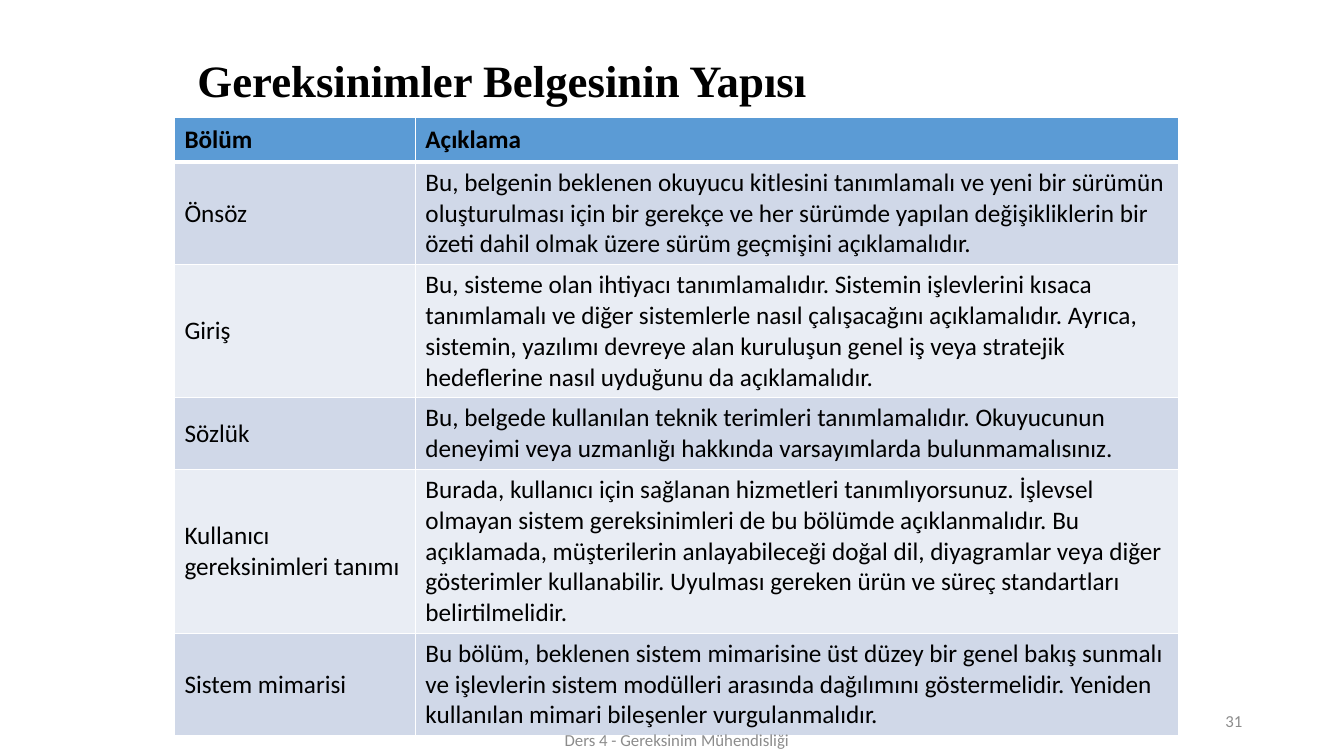
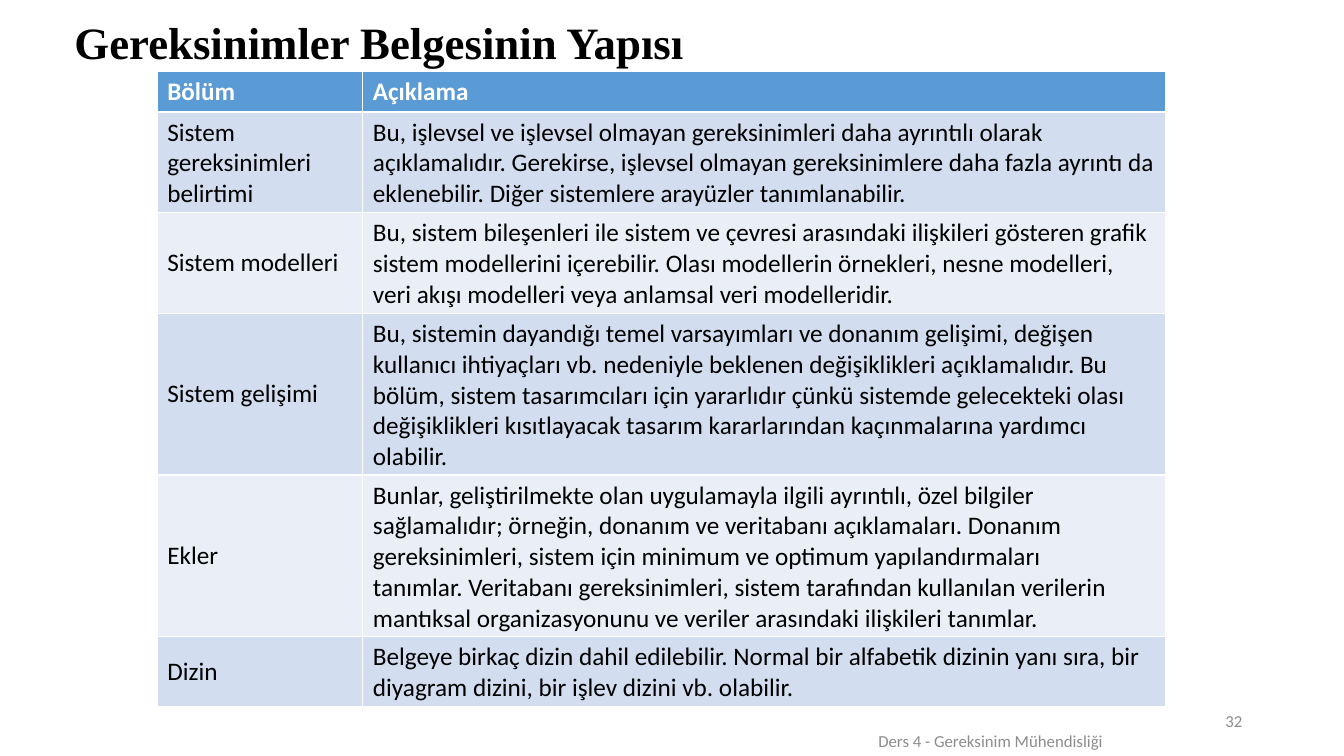
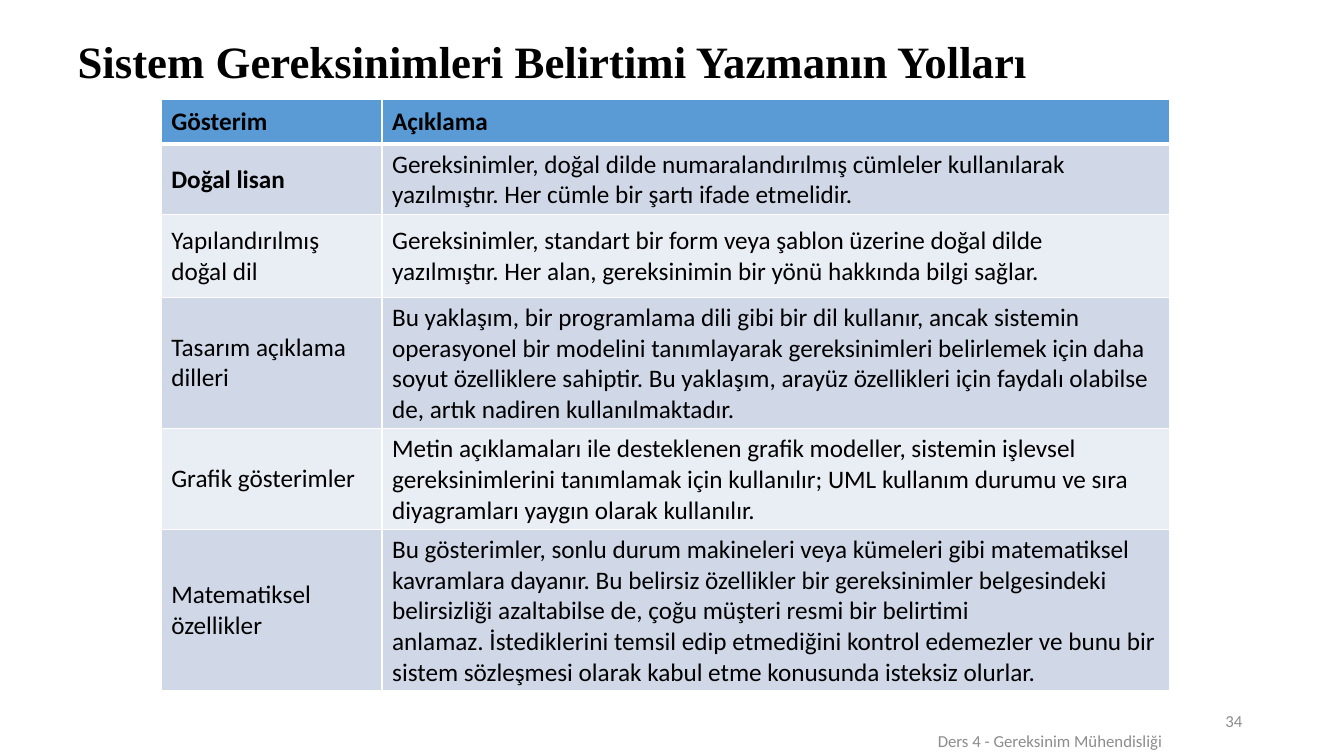
from lxml import etree
from pptx import Presentation, util as u
from pptx.dml.color import RGBColor
from pptx.enum import text as t
from pptx.oxml.ns import qn

WIDE, HIGH = u.Inches(13.33), u.Inches(7.5)
BLACK, WHITE, GREY, BLUE = "000000", "FFFFFF", "8C8C8C", "5B9BD5"
SOFT = ("D0D8E8", "E9EDF4")
CLEAR = ("D2DEEF", "EAEFF7")
FOOT = "Ders 4 - Gereksinim Mühendisliği"
LEFT, MID, RIGHT = t.PP_ALIGN.LEFT, t.PP_ALIGN.CENTER, t.PP_ALIGN.RIGHT

# Boxes, columns and rows are percentages of the slide's width and height.
slides = [
    dict(
        title="Gereksinimler Belgesinin Yapısı", box=(13.95, 3.07, 60.46, 15.87),
        at=(12.98, 15.47), cols=(17.93, 56.79),
        rows=(6, 10.93, 14.13, 7.73, 17.33, 10.93),
        ink=BLACK, bands=SOFT, rule=3, strong=(), page="31", foot=(38.48, 95.2),
        cells=[
            ("Bölüm", "Açıklama"),
            ("Önsöz", "Bu, belgenin beklenen okuyucu kitlesini tanımlamalı ve yeni bir sürümün "
             "oluşturulması için bir gerekçe ve her sürümde yapılan değişikliklerin bir özeti "
             "dahil olmak üzere sürüm geçmişini açıklamalıdır."),
            ("Giriş", "Bu, sisteme olan ihtiyacı tanımlamalıdır. Sistemin işlevlerini kısaca "
             "tanımlamalı ve diğer sistemlerle nasıl çalışacağını açıklamalıdır. Ayrıca, "
             "sistemin, yazılımı devreye alan kuruluşun genel iş veya stratejik hedeflerine "
             "nasıl uyduğunu da açıklamalıdır."),
            ("Sözlük", "Bu, belgede kullanılan teknik terimleri tanımlamalıdır. Okuyucunun "
             "deneyimi veya uzmanlığı hakkında varsayımlarda bulunmamalısınız."),
            ("Kullanıcı gereksinimleri tanımı",
             "Burada, kullanıcı için sağlanan hizmetleri tanımlıyorsunuz. İşlevsel olmayan "
             "sistem gereksinimleri de bu bölümde açıklanmalıdır. Bu açıklamada, müşterilerin "
             "anlayabileceği doğal dil, diyagramlar veya diğer gösterimler kullanabilir. "
             "Uyulması gereken ürün ve süreç standartları belirtilmelidir."),
            ("Sistem mimarisi", "Bu bölüm, beklenen sistem mimarisine üst düzey bir genel bakış "
             "sunmalı ve işlevlerin sistem modülleri arasında dağılımını göstermelidir. Yeniden "
             "kullanılan mimari bileşenler vurgulanmalıdır."),
        ]),
    dict(
        title="Gereksinimler Belgesinin Yapısı", box=(4.8, 1.6, 86.27, 8.8),
        at=(11.7, 9.47), cols=(15.3, 59.71),
        rows=(5.2, 12.93, 12.93, 20.67, 20.67, 9.07),
        ink=WHITE, bands=CLEAR, rule=1, strong=(), page="32", foot=(61.82, 95.33),
        cells=[
            ("Bölüm", "Açıklama"),
            ("Sistem gereksinimleri belirtimi",
             "Bu, işlevsel ve işlevsel olmayan gereksinimleri daha ayrıntılı olarak "
             "açıklamalıdır. Gerekirse, işlevsel olmayan gereksinimlere daha fazla ayrıntı da "
             "eklenebilir. Diğer sistemlere arayüzler tanımlanabilir."),
            ("Sistem modelleri", "Bu, sistem bileşenleri ile sistem ve çevresi arasındaki "
             "ilişkileri gösteren grafik sistem modellerini içerebilir. Olası modellerin "
             "örnekleri, nesne modelleri, veri akışı modelleri veya anlamsal veri modelleridir."),
            ("Sistem gelişimi", "Bu, sistemin dayandığı temel varsayımları ve donanım gelişimi, "
             "değişen kullanıcı ihtiyaçları vb. nedeniyle beklenen değişiklikleri açıklamalıdır. "
             "Bu bölüm, sistem tasarımcıları için yararlıdır çünkü sistemde gelecekteki olası "
             "değişiklikleri kısıtlayacak tasarım kararlarından kaçınmalarına yardımcı olabilir."),
            ("Ekler", "Bunlar, geliştirilmekte olan uygulamayla ilgili ayrıntılı, özel bilgiler "
             "sağlamalıdır; örneğin, donanım ve veritabanı açıklamaları. Donanım gereksinimleri, "
             "sistem için minimum ve optimum yapılandırmaları tanımlar. Veritabanı "
             "gereksinimleri, sistem tarafından kullanılan verilerin mantıksal organizasyonunu "
             "ve veriler arasındaki ilişkileri tanımlar."),
            ("Dizin", "Belgeye birkaç dizin dahil edilebilir. Normal bir alfabetik dizinin yanı "
             "sıra, bir diyagram dizini, bir işlev dizini vb. olabilir."),
        ]),
    dict(
        title="Sistem Gereksinimleri Belirtimi Yazmanın Yolları",
        box=(5.03, 2.27, 86.27, 12.27),
        at=(12, 13.2), cols=(16.43, 58.59),
        rows=(5.87, 9.33, 10.93, 14.67, 10.93, 19.87),
        ink=BLACK, bands=SOFT, rule=3, strong=("Doğal lisan",), page="34", foot=(66.24, 95.33),
        cells=[
            ("Gösterim", "Açıklama"),
            ("Doğal lisan", "Gereksinimler, doğal dilde numaralandırılmış cümleler kullanılarak "
             "yazılmıştır. Her cümle bir şartı ifade etmelidir."),
            ("Yapılandırılmış doğal dil",
             "Gereksinimler, standart bir form veya şablon üzerine doğal dilde yazılmıştır. Her "
             "alan, gereksinimin bir yönü hakkında bilgi sağlar."),
            ("Tasarım açıklama dilleri",
             "Bu yaklaşım, bir programlama dili gibi bir dil kullanır, ancak sistemin "
             "operasyonel bir modelini tanımlayarak gereksinimleri belirlemek için daha soyut "
             "özelliklere sahiptir. Bu yaklaşım, arayüz özellikleri için faydalı olabilse de, "
             "artık nadiren kullanılmaktadır."),
            ("Grafik gösterimler", "Metin açıklamaları ile desteklenen grafik modeller, sistemin "
             "işlevsel gereksinimlerini tanımlamak için kullanılır; UML kullanım durumu ve sıra "
             "diyagramları yaygın olarak kullanılır."),
            ("Matematiksel özellikler",
             "Bu gösterimler, sonlu durum makineleri veya kümeleri gibi matematiksel kavramlara "
             "dayanır. Bu belirsiz özellikler bir gereksinimler belgesindeki belirsizliği "
             "azaltabilse de, çoğu müşteri resmi bir belirtimi anlamaz. İstediklerini temsil "
             "edip etmediğini kontrol edemezler ve bunu bir sistem sözleşmesi olarak kabul etme "
             "konusunda isteksiz olurlar."),
        ]),
]


def write(frame, words, size=18, font="Calibri", ink=BLACK, bold=False, align=LEFT, lead=1.0):
    """Fill a text frame, tying each sentence to the next with a hard space."""
    frame.word_wrap = True
    parts = words.split(" ")
    line = parts[0]
    for last, part in zip(parts, parts[1:]):
        tied = last.endswith(";") or last.endswith(".") and part[0].isupper()
        line += (chr(160) if tied else " ") + part
    para = frame.paragraphs[0]
    para.alignment, para.line_spacing = align, lead
    run = para.add_run()
    run.text = line
    run.font.size, run.font.name, run.font.bold = u.Pt(size), font, bold
    run.font.color.rgb = RGBColor.from_string(ink)


def place(x, y, wide=0, high=0):
    """Turn percentages of the slide into lengths."""
    return [int(n * side / 100) for n, side in
            ((x, WIDE), (y, HIGH), (wide, WIDE), (high, HIGH))]


deck = Presentation()
deck.slide_width, deck.slide_height = WIDE, HIGH

for item in slides:
    page = deck.slides.add_slide(deck.slide_layouts[6])
    labels = [
        (item["title"], item["box"],
         dict(size=32, font="Times New Roman", bold=True, lead=0.9)),
        (item["page"], (70.67, 92.67, 22.5, 5.33), dict(size=12, ink=GREY, align=RIGHT)),
        (FOOT, (*item["foot"], 23.78, 5.33), dict(size=12, ink=GREY, align=MID)),
    ]
    cols, rows = item["cols"], item["rows"]
    grid = page.shapes.add_table(
        len(rows), len(cols), *place(*item["at"], sum(cols), sum(rows))).table
    for col, wide in zip(grid.columns, cols):
        col.width = int(wide * WIDE / 100)
    for row, high in zip(grid.rows, rows):
        row.height = int(high * HIGH / 100)

    for r, line in enumerate(item["cells"]):
        for c, words in enumerate(line):
            cell = grid.cell(r, c)
            head = r == 0
            cell.vertical_anchor = t.MSO_ANCHOR.MIDDLE
            cell.fill.solid()
            cell.fill.fore_color.rgb = RGBColor.from_string(
                BLUE if head else item["bands"][(r - 1) % 2])
            write(cell.text_frame, words, ink=item["ink"] if head else BLACK,
                  bold=head or words in item["strong"])
            edges = dict(lnL=1, lnR=1, lnT=item["rule"] if r == 1 else 1,
                         lnB=item["rule"] if head else 1)
            props = cell._tc.get_or_add_tcPr()
            for spot, (tag, thick) in enumerate(edges.items()):
                edge = etree.Element(qn("a:" + tag), w=str(u.Pt(thick)))
                fill = etree.SubElement(edge, qn("a:solidFill"))
                etree.SubElement(fill, qn("a:srgbClr"), val=WHITE)
                props.insert(spot, edge)

    for words, box, form in labels:
        frame = page.shapes.add_textbox(*place(*box)).text_frame
        frame.vertical_anchor = t.MSO_ANCHOR.MIDDLE
        write(frame, words, **form)

deck.save("out.pptx")
